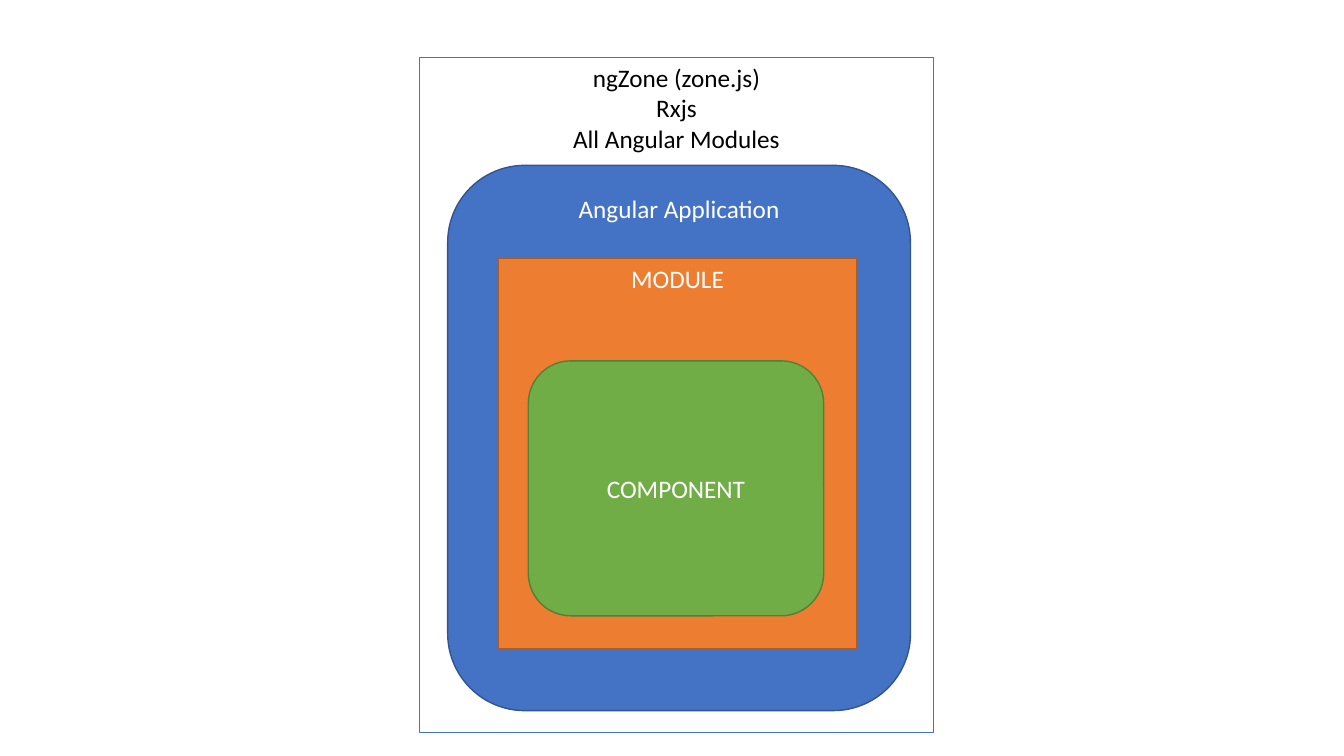
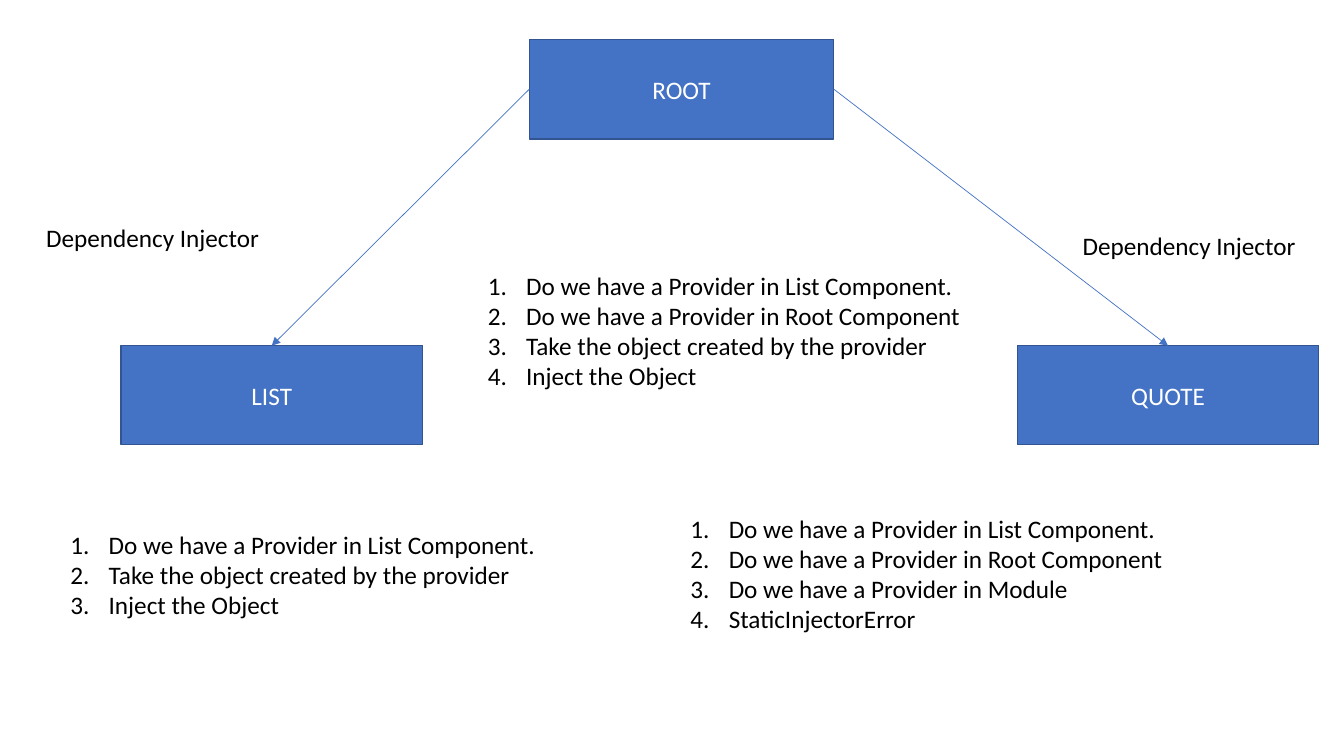
from lxml.etree import SubElement
from pptx import Presentation
from pptx.dml.color import RGBColor
from pptx.enum.shapes import MSO_CONNECTOR, MSO_SHAPE
from pptx.enum.text import MSO_ANCHOR, MSO_AUTO_SIZE, PP_ALIGN
from pptx.oxml.ns import qn
from pptx.util import Pt

PX = 9144  # EMU in one px, 100 px to the inch
FONT = "Calibri"
FONT_SIZE = 18
LIST_INDENT = 38

WHITE, BLACK = "FFFFFF", "000000"
BLUE, DARK_BLUE = "4472C4", "325491"
ORANGE, DARK_ORANGE = "ED7D31", "AF5C24"
GREEN, DARK_GREEN = "70AD47", "538035"

# Connection sites of a rectangle
TOP, LEFT, RIGHT = 0, 1, 3


def px(*lengths):
    return [length * PX for length in lengths]


def color(hex_text):
    return RGBColor.from_string(hex_text)


def set_text(text_frame, text, text_color, align=PP_ALIGN.LEFT):
    text_frame.text = text
    for paragraph in text_frame.paragraphs:
        paragraph.alignment = align
        for run in paragraph.runs:
            run.font.name = FONT
            run.font.size = Pt(FONT_SIZE)
            run.font.color.rgb = color(text_color)


def add_box(slide, box, text, fill=BLUE, line=DARK_BLUE, text_color=WHITE,
            kind=MSO_SHAPE.RECTANGLE, anchor=MSO_ANCHOR.MIDDLE):
    shape = slide.shapes.add_shape(kind, *px(*box))
    shape.shadow.inherit = False
    shape.fill.solid()
    shape.fill.fore_color.rgb = color(fill)
    shape.line.color.rgb = color(line)
    shape.line.width = Pt(1)
    shape.text_frame.vertical_anchor = anchor
    set_text(shape.text_frame, text, text_color, PP_ALIGN.CENTER)
    return shape


def add_label(slide, box, text):
    text_frame = slide.shapes.add_textbox(*px(*box)).text_frame
    text_frame.word_wrap = False
    text_frame.auto_size = MSO_AUTO_SIZE.SHAPE_TO_FIT_TEXT
    set_text(text_frame, text, BLACK)
    return text_frame


def add_numbered_list(slide, box, items):
    indent = LIST_INDENT * PX
    for paragraph in add_label(slide, box, "\n".join(items)).paragraphs:
        properties = paragraph._p.get_or_add_pPr()
        properties.set("marL", str(indent))
        properties.set("indent", str(-indent))
        SubElement(properties, qn("a:buFont"), typeface="+mj-lt")
        SubElement(properties, qn("a:buAutoNum"), type="arabicPeriod")


def add_arrow(slide, start, start_site, end, end_site):
    connector = slide.shapes.add_connector(MSO_CONNECTOR.STRAIGHT, 0, 0, 0, 0)
    connector.begin_connect(start, start_site)
    connector.end_connect(end, end_site)
    connector.line.color.rgb = color(BLUE)
    connector.line.width = Pt(0.5)
    properties = connector._element.spPr
    SubElement(properties.find(qn("a:ln")), qn("a:tailEnd"), type="triangle")
    SubElement(properties, qn("a:effectLst"))


def build_architecture(slide):
    # Nested layers, from the outside in
    rounded = MSO_SHAPE.ROUNDED_RECTANGLE
    add_box(slide, (416, 57, 510, 670),
            "ngZone (zone.js)\nRxjs\nAll Angular Modules",
            WHITE, BLUE, BLACK, anchor=MSO_ANCHOR.TOP)
    add_box(slide, (444, 164, 459, 541), "Angular Application",
            kind=rounded, anchor=MSO_ANCHOR.TOP)
    add_box(slide, (494, 256, 356, 388), "MODULE",
            ORANGE, DARK_ORANGE, anchor=MSO_ANCHOR.TOP)
    add_box(slide, (524, 358, 293, 253), "COMPONENT",
            GREEN, DARK_GREEN, kind=rounded)


def build_injector_tree(slide):
    # Component tree
    root = add_box(slide, (525, 39, 302, 99), "ROOT")
    list_box, quote_box = [
        add_box(slide, (left, 343, 299, 98), name)
        for left, name in ((120, "LIST"), (1009, "QUOTE"))]
    add_arrow(slide, root, LEFT, list_box, TOP)
    add_arrow(slide, root, RIGHT, quote_box, TOP)

    # Arrow labels
    for left, top in ((36, 216), (1064, 224)):
        add_label(slide, (left, top, 234, 40), "Dependency Injector")

    # Lookup steps
    in_list = "Do we have a Provider in List Component."
    in_root = "Do we have a Provider in Root Component"
    in_module = "Do we have a Provider in Module"
    take = "Take the object created by the provider"
    inject = "Inject the Object"
    add_numbered_list(slide, (60, 520, 486, 101), [in_list, take, inject])
    add_numbered_list(slide, (675, 504, 494, 131),
                      [in_list, in_root, in_module, "StaticInjectorError"])
    add_numbered_list(slide, (474, 263, 494, 131),
                      [in_list, in_root, take, inject])


def main():
    presentation = Presentation()
    presentation.slide_width, presentation.slide_height = px(1333, 750)
    blank = presentation.slide_layouts[6]
    for build in (build_architecture, build_injector_tree):
        build(presentation.slides.add_slide(blank))
    presentation.save("out.pptx")


if __name__ == "__main__":
    main()
